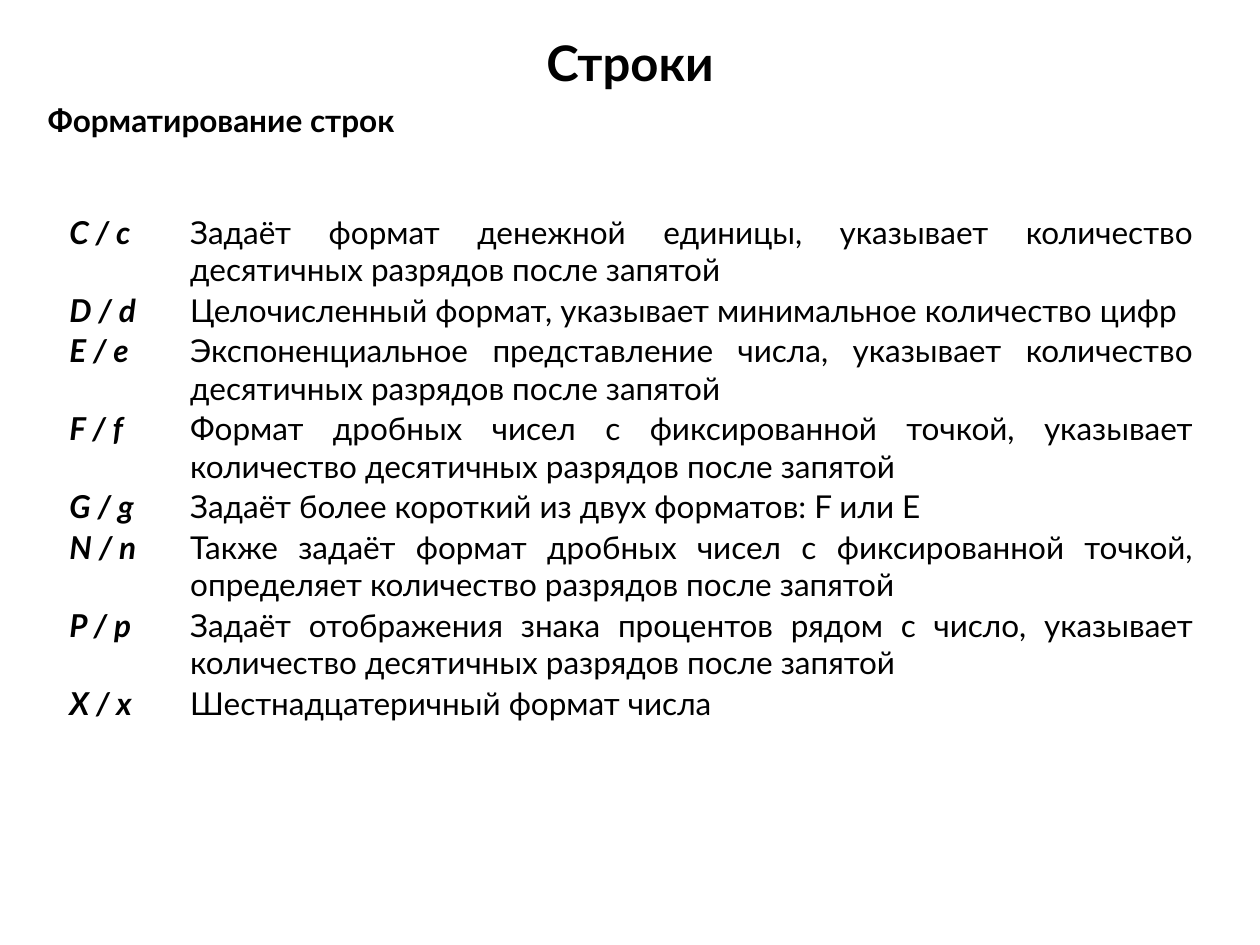
from pptx import Presentation
from pptx.dml.color import RGBColor
from pptx.enum.text import MSO_AUTO_SIZE as AutoSize, PP_ALIGN as Align
from pptx.util import Inches, Pt

FONT = "Lato"
BLACK = "000000"
LINE_HEIGHT = 0.3
CELL_PADDING = 0.01
CHARS_PER_LINE = 60

FORMATS = [
    ("C / c", "Задаёт формат денежной единицы, указывает количество десятичных разрядов после запятой"),
    ("D / d", "Целочисленный формат, указывает минимальное количество цифр"),
    ("E / e", "Экспоненциальное представление числа, указывает количество десятичных разрядов после запятой"),
    ("F / f", "Формат дробных чисел с фиксированной точкой, указывает количество десятичных разрядов после запятой"),
    ("G / g", "Задаёт более короткий из двух форматов: F или E"),
    ("N / n", "Также задаёт формат дробных чисел с фиксированной точкой, определяет количество разрядов после запятой"),
    ("P / p", "Задаёт отображения знака процентов рядом с число, указывает количество десятичных разрядов после запятой"),
    ("X / x", "Шестнадцатеричный формат числа"),
]


def color(hex_code):
    return RGBColor.from_string(hex_code)


def write(frame, text, size, align, bold=False, italic=False):
    frame.word_wrap = True
    para = frame.paragraphs[0]
    para.text = text
    para.alignment = align
    font = para.font
    font.name, font.size = FONT, Pt(size)
    font.bold, font.italic = bold, italic
    font.color.rgb = color(BLACK)


def add_heading(page, bounds, text, size, align):
    box = page.shapes.add_textbox(*map(Inches, bounds))
    write(box.text_frame, text, size, align, bold=True)
    box.text_frame.auto_size = AutoSize.SHAPE_TO_FIT_TEXT


def fill_cell(cell, text, emphasized):
    cell.fill.background()
    cell.margin_left, cell.margin_right = Inches(0.05), Inches(0.03)
    cell.margin_top = cell.margin_bottom = Inches(CELL_PADDING)
    write(cell.text_frame, text, 18, Align.JUSTIFY, emphasized, emphasized)


def row_height(description):
    """Height in inches for a description of one or two lines."""
    lines = 1 + len(description) // CHARS_PER_LINE
    return lines * LINE_HEIGHT + 2 * CELL_PADDING


def add_format_table(page, left, top, widths):
    heights = [row_height(description) for _, description in FORMATS]
    bounds = map(Inches, (left, top, sum(widths), sum(heights)))
    table = page.shapes.add_table(len(FORMATS), len(widths), *bounds).table
    table.first_row = table.horz_banding = False
    for column, width in zip(table.columns, widths):
        column.width = Inches(width)
    for row, height, texts in zip(table.rows, heights, FORMATS):
        row.height = Inches(height)
        for index, text in enumerate(texts):
            fill_cell(row.cells[index], text, emphasized=index == 0)


def main():
    deck = Presentation()
    deck.slide_width, deck.slide_height = Inches(10), Inches(7.5)
    page = deck.slides.add_slide(deck.slide_layouts[6])
    add_heading(page, (0.12, 0.21, 9.76, 0.57), "Строки", 28, Align.CENTER)
    add_heading(page, (0.28, 0.75, 9.61, 0.4), "Форматирование строк", 18, Align.LEFT)
    add_format_table(page, 0.5, 1.68, (0.96, 8.04))
    deck.save("out.pptx")


if __name__ == "__main__":
    main()
